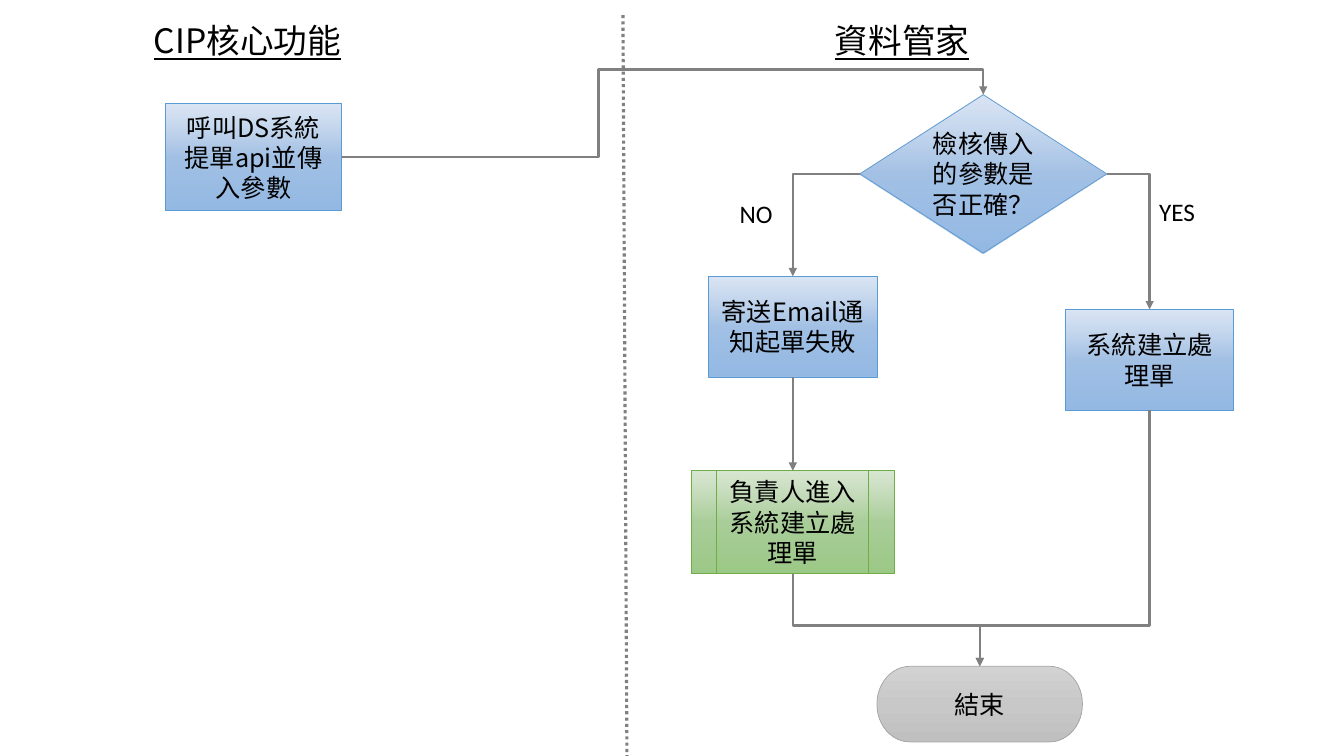
import pptx
import pptx.dml.color
import pptx.enum.dml
import pptx.enum.shapes
import pptx.enum.text
import pptx.oxml
import pptx.oxml.ns
import pptx.util
from lxml import etree

SHAPE = pptx.enum.shapes.MSO_SHAPE
CONNECTOR = pptx.enum.shapes.MSO_CONNECTOR
CENTER = pptx.enum.text.PP_ALIGN.CENTER
MIDDLE = pptx.enum.text.MSO_ANCHOR.MIDDLE
qn = pptx.oxml.ns.qn

# Grid of 80 columns by 45 rows; boxes are (column, row, columns, rows)
COLUMNS, ROWS = 80, 45
CELL = pptx.util.Inches(13.33) / COLUMNS
CORE_LANE = (0, 0, 37.2, ROWS)
STEWARD_LANE = (37.2, 0, 42.8, ROWS)

CJK_FONT = "Noto Sans CJK TC"
LINE_GRAY = "808080"
# Border, then gradient stops: position %, colour, opacity %
BLUE = ("5B9BD5", [(0, "C3D5ED", 60), (50, "A3C1E5", 100), (100, "93B9E4", 100)])
GREEN = ("70AD47", [(0, "C0D8B6", 60), (50, "AACE9A", 100), (100, "9CC987", 100)])
GRAY = ("A5A5A5", [(0, "D2D2D2", 100), (50, "C8C8C8", 100), (100, "C0C0C0", 100)])

# Connection sites
TOP, LEFT, BOTTOM, RIGHT = range(4)


def color(value):
    return pptx.dml.color.RGBColor.from_string(value)


def grid(*lengths):
    return [round(length * CELL) for length in lengths]


def within(lane, box):
    return grid(lane[0] + box[0], lane[1] + box[1], box[2], box[3])


def write(shape, text, size=18, font=CJK_FONT, underline=False, align=CENTER):
    frame = shape.text_frame
    frame.word_wrap = True
    frame.text = text
    paragraph = frame.paragraphs[0]
    paragraph.alignment = align
    run = paragraph.runs[0]
    run.font.name = font
    run.font.size = pptx.util.Pt(size)
    run.font.underline = underline
    run.font.color.rgb = color("000000")
    east_asian = etree.SubElement(run.font._element, qn("a:ea"))
    east_asian.set("typeface", font)


def add_heading(slide, lane, box, text):
    heading = slide.shapes.add_textbox(*within(lane, box))
    heading.text_frame.vertical_anchor = MIDDLE
    write(heading, text, size=24, underline=True)


def add_label(slide, lane, box, text):
    label = slide.shapes.add_textbox(*within(lane, box))
    write(label, text, font="Calibri", align=pptx.enum.text.PP_ALIGN.LEFT)


def fill_gradient(shape, stops):
    shape.fill.gradient()
    shape.fill.gradient_angle = 270
    stop_list = shape._element.spPr.find(qn("a:gradFill")).find(qn("a:gsLst"))
    for stop in list(stop_list):
        stop_list.remove(stop)
    for position, value, opacity in stops:
        stop = etree.SubElement(stop_list, qn("a:gs"), pos=str(position * 1000))
        stop_color = etree.SubElement(stop, qn("a:srgbClr"), val=value)
        if opacity < 100:
            etree.SubElement(stop_color, qn("a:alpha"), val=str(opacity * 1000))


def add_step(slide, lane, box, kind, palette, text):
    border, stops = palette
    step = slide.shapes.add_shape(kind, *within(lane, box))
    step.shadow.inherit = False
    fill_gradient(step, stops)
    step.line.color.rgb = color(border)
    step.line.width = pptx.util.Pt(0.5)
    step.text_frame.vertical_anchor = MIDDLE
    write(step, text)
    return step


def style_line(connector, width):
    connector.line.color.rgb = color(LINE_GRAY)
    connector.line.width = pptx.util.Pt(width)
    etree.SubElement(connector._element.spPr, qn("a:effectLst"))


def bend(connector, preset, rotation=0, flip=None, adjustments=()):
    """Route an elbow between its ends; a quarter turn swaps its sides."""
    begin_x, begin_y = connector.begin_x, connector.begin_y
    end_x, end_y = connector.end_x, connector.end_y
    width, height = abs(end_x - begin_x), abs(end_y - begin_y)
    if rotation % 180:
        width, height = height, width
    properties = connector._element.spPr
    transform = properties.find(qn("a:xfrm"))
    for name in ("flipH", "flipV"):
        transform.attrib.pop(name, None)
    if flip:
        transform.set(flip, "1")
    connector.left = (begin_x + end_x - width) // 2
    connector.top = (begin_y + end_y - height) // 2
    connector.width, connector.height = width, height
    transform.set("rot", str(rotation * 60000))
    geometry = properties.find(qn("a:prstGeom"))
    geometry.set("prst", preset)
    guides = geometry.find(qn("a:avLst"))
    for number, share in enumerate(adjustments, 1):
        etree.SubElement(guides, qn("a:gd"), name=f"adj{number}",
                         fmla=f"val {round(share * 100000)}")


def add_arrow(slide, source, source_site, target, target_site, preset=None, **route):
    kind = CONNECTOR.ELBOW if preset else CONNECTOR.STRAIGHT
    arrow = slide.shapes.add_connector(kind, 0, 0, 0, 0)
    arrow.begin_connect(source, source_site)
    arrow.end_connect(target, target_site)
    if preset:
        bend(arrow, preset, **route)
    style_line(arrow, 1.75)
    etree.SubElement(arrow.line._get_or_add_ln(), qn("a:tailEnd"), type="triangle")


def add_divider(slide):
    divider = slide.shapes.add_connector(
        CONNECTOR.STRAIGHT, *grid(37.08, 0.9, 37.32, ROWS))
    style_line(divider, 2.25)
    divider.line.dash_style = pptx.enum.dml.MSO_LINE.ROUND_DOT


def add_core_lane(slide, lane):
    add_heading(slide, lane, (6.73, 0, 16, 4.8), "CIP核心功能")
    return add_step(slide, lane, (9.84, 6.18, 10.5, 6.36), SHAPE.RECTANGLE, BLUE,
                    "呼叫DS系統提單api並傳入參數")


def add_steward_lane(slide, lane):
    add_heading(slide, lane, (8.5, 0, 16, 4.8), "資料管家")
    # Steps
    check = add_step(slide, lane, (13.98, 5.64, 14.7, 9.42), SHAPE.DIAMOND, BLUE,
                     "檢核傳入的參數是否正確？")
    email = add_step(slide, lane, (4.98, 16.44, 10.02, 6), SHAPE.RECTANGLE, BLUE,
                     "寄送Email通知起單失敗")
    ticket = add_step(slide, lane, (26.22, 18.42, 10.02, 6), SHAPE.RECTANGLE, BLUE,
                      "系統建立處理單")
    manual = add_step(slide, lane, (3.96, 28.02, 12.06, 6.12),
                      SHAPE.FLOWCHART_PREDEFINED_PROCESS, GREEN,
                      "負責人進入系統建立處理單")
    finish = add_step(slide, lane, (15, 39.66, 12.24, 4.5),
                      SHAPE.FLOWCHART_TERMINATOR, GRAY, "結束")
    # Branches and their labels
    add_arrow(slide, check, RIGHT, ticket, TOP, "bentConnector2")
    add_arrow(slide, check, LEFT, email, TOP, "bentConnector2",
              rotation=180, flip="flipV")
    add_label(slide, lane, (31.2, 11.4, 6.12, 2.4), "YES")
    add_label(slide, lane, (6.24, 11.52, 6.12, 2.4), "NO")
    # Paths to the end
    add_arrow(slide, email, BOTTOM, manual, TOP)
    add_arrow(slide, ticket, BOTTOM, finish, TOP, "bentConnector3",
              rotation=90, adjustments=[0.84])
    add_arrow(slide, manual, BOTTOM, finish, TOP, "bentConnector3",
              rotation=270, flip="flipH", adjustments=[0.56])
    return check


def main():
    presentation = pptx.Presentation()
    presentation.slide_width, presentation.slide_height = grid(COLUMNS, ROWS)
    slide = presentation.slides.add_slide(presentation.slide_layouts[6])
    add_divider(slide)
    call = add_core_lane(slide, CORE_LANE)
    check = add_steward_lane(slide, STEWARD_LANE)
    # Hand-over between the lanes
    add_arrow(slide, call, RIGHT, check, TOP, "bentConnector4",
              flip="flipV", adjustments=[0.4, 1.4])
    presentation.save("out.pptx")


if __name__ == "__main__":
    main()
